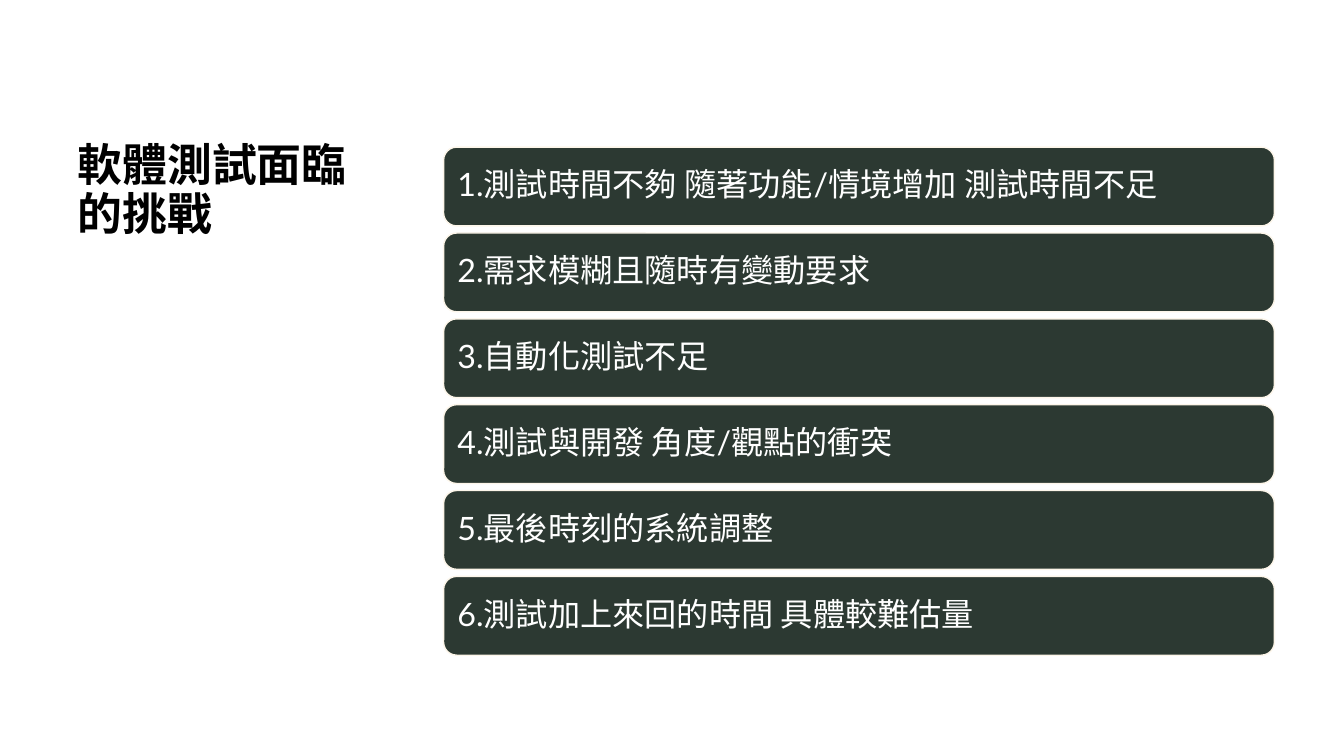
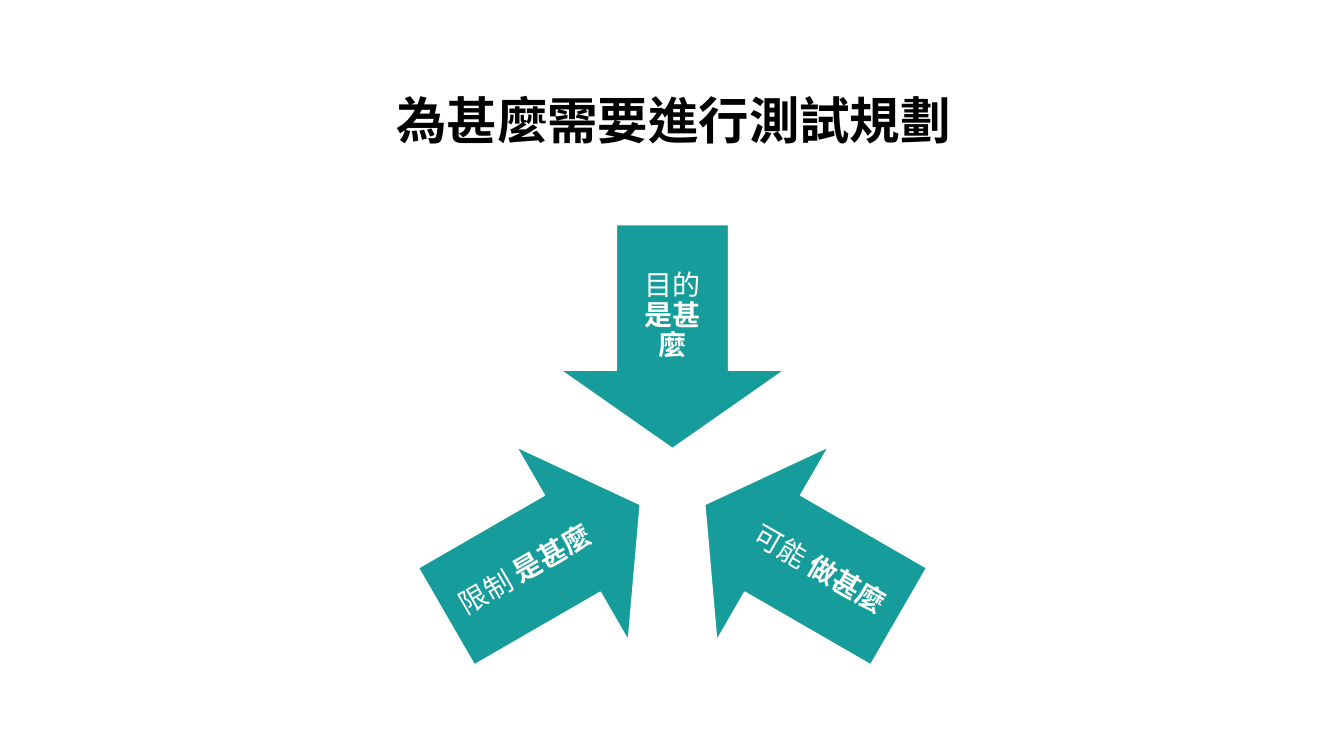
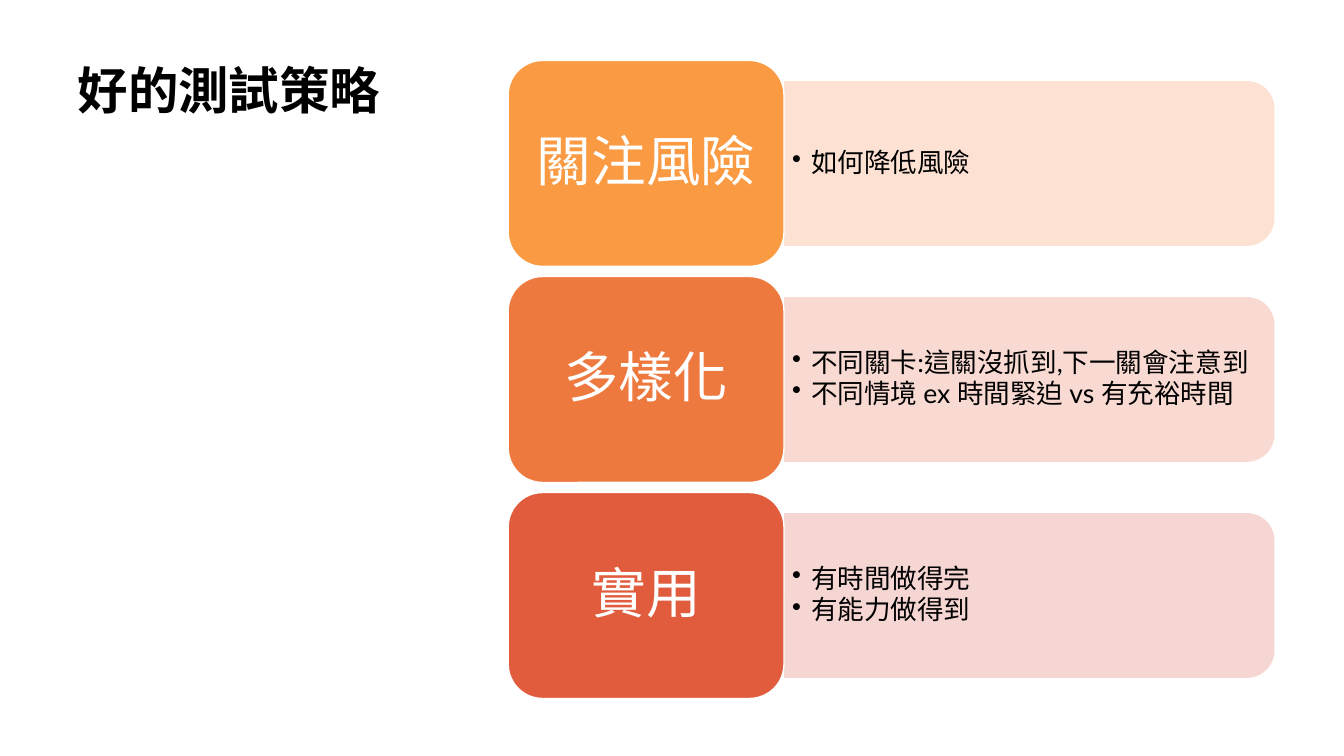
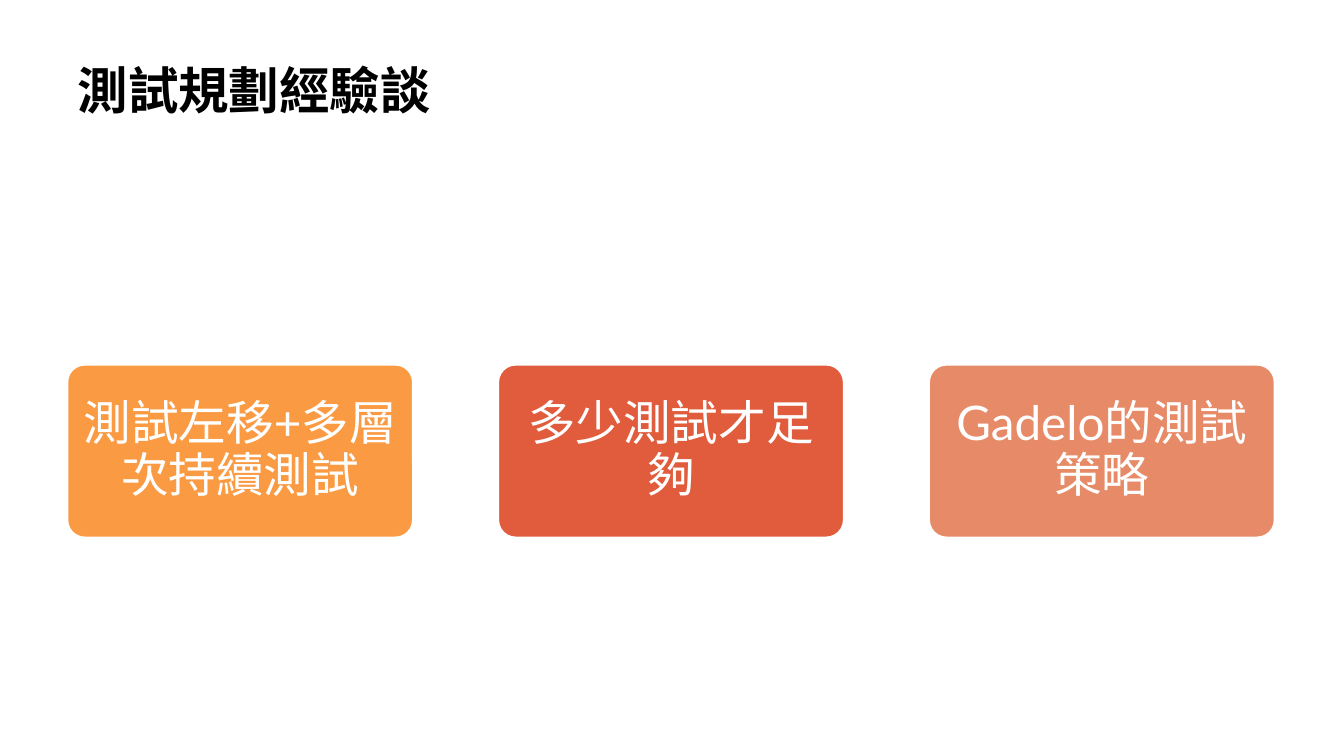
"""Build four slides on the challenges and planning of software testing."""
from math import cos, radians, sin

from lxml import etree
from pptx import Presentation
from pptx.dml.color import RGBColor
from pptx.enum.lang import MSO_LANGUAGE_ID
from pptx.enum.shapes import MSO_SHAPE
from pptx.enum.text import MSO_ANCHOR, MSO_AUTO_SIZE, PP_ALIGN
from pptx.oxml.ns import qn
from pptx.util import Inches, Pt

LEFT, CENTER = PP_ALIGN.LEFT, PP_ALIGN.CENTER
TOP, MIDDLE = MSO_ANCHOR.TOP, MSO_ANCHOR.MIDDLE
NO_AUTOFIT = MSO_AUTO_SIZE.NONE
ROUNDED = MSO_SHAPE.ROUNDED_RECTANGLE
TWO_ROUNDED = MSO_SHAPE.ROUND_2_SAME_RECTANGLE
DOWN_ARROW = MSO_SHAPE.DOWN_ARROW
TAIWAN = MSO_LANGUAGE_ID.TRADITIONAL_CHINESE
TITLE_ONLY = 5

FONT = "Lato"
COLORS = {
    "black": "000000",
    "white": "FFFFFF",
    "cream": "FDF6EA",
    "forest": "2C3932",
    "teal": "169C9A",
    "amber": "FA9A42",
    "orange": "EE793F",
    "red": "E15C3D",
    "salmon": "E78A67",
    "pale_amber": "FDDECF",
    "pale_orange": "F9D7CE",
    "pale_red": "F4D2CE",
}

CHALLENGES = [
    "1.測試時間不夠 隨著功能/情境增加 測試時間不足",
    "2.需求模糊且隨時有變動要求",
    "3.自動化測試不足",
    "4.測試與開發 角度/觀點的衝突",
    "5.最後時刻的系統調整",
    "6.測試加上來回的時間 具體較難估量",
]
QUESTIONS = [
    ("目的 ", "是甚麼", 0, 0),
    ("可能 ", "做甚麼", 120, 30),
    ("限制 ", "是甚麼", 240, 330),
]
STRATEGIES = [
    ("關注風險", "amber", "pale_amber", ["如何降低風險"]),
    ("多樣化", "orange", "pale_orange",
     ["不同關卡:這關沒抓到,下一關會注意到", "不同情境 ex 時間緊迫 vs 有充裕時間"]),
    ("實用", "red", "pale_red", ["有時間做得完", "有能力做得到"]),
]
EXPERIENCES = [
    ("測試左移+多層次持續測試", "amber"),
    ("多少測試才足夠", "red"),
    ("Gadelo的測試策略", "salmon"),
]


def rgb(name):
    """Return the named colour."""
    return RGBColor.from_string(COLORS[name])


def inches(*lengths):
    """Convert several lengths to inches."""
    return [Inches(length) for length in lengths]


def spread(start, length, count, gap):
    """Return the starts and the common size of equal parts with equal gaps."""
    size = (length - gap * (count - 1)) / count
    return [start + index * (size + gap) for index in range(count)], size


def style_run(run, size, color, bold=False):
    """Apply the shared font to a run."""
    run.font.name = FONT
    run.font.size = Pt(size)
    run.font.bold = bold
    run.font.color.rgb = rgb(color)
    run.font.language_id = TAIWAN


def add_bullet(paragraph):
    """Give a paragraph a round bullet with a hanging indent."""
    properties = paragraph._p.get_or_add_pPr()
    properties.set("marL", str(Inches(0.19)))
    properties.set("indent", str(Inches(-0.19)))
    etree.SubElement(properties, qn("a:buChar")).set("char", "•")


def write_text(text_frame, lines, size, color="white", align=CENTER, anchor=MIDDLE,
               margins=(0.1, 0.05), bold=False, bullets=False):
    """Fill a text frame with one paragraph for each line."""
    text_frame.text = "\n".join(lines)
    text_frame.word_wrap = True
    text_frame.auto_size = NO_AUTOFIT
    text_frame.vertical_anchor = anchor
    text_frame.margin_left = text_frame.margin_right = Inches(margins[0])
    text_frame.margin_top = text_frame.margin_bottom = Inches(margins[1])
    for paragraph in text_frame.paragraphs:
        if bullets:
            add_bullet(paragraph)
            paragraph.space_after = Pt(2)
        paragraph.alignment = align
        paragraph.line_spacing = 0.9
        for run in paragraph.runs:
            style_run(run, size, color, bold)


def add_block(slide, kind, box, fill, line="white"):
    """Add a flat filled shape with a thin outline."""
    shape = slide.shapes.add_shape(kind, *inches(*box))
    shape.shadow.inherit = False
    shape.fill.solid()
    shape.fill.fore_color.rgb = rgb(fill)
    shape.line.color.rgb = rgb(line)
    shape.line.width = Pt(1)
    return shape


def add_titled_slide(presentation, title, box, size=36, align=LEFT, anchor=TOP):
    """Add a title-only slide and format its title."""
    slide = presentation.slides.add_slide(presentation.slide_layouts[TITLE_ONLY])
    placeholder = slide.shapes.title
    placeholder.left, placeholder.top, placeholder.width, placeholder.height = inches(*box)
    write_text(placeholder.text_frame, [title], size, "black", align, anchor, bold=True)
    return slide


def add_challenge_bars(slide, box):
    """Stack the numbered challenges as bars in the box."""
    left, top, width, height = box
    tops, bar_height = spread(top, height, len(CHALLENGES), 0.07)
    for bar_top, challenge in zip(tops, CHALLENGES):
        bar = add_block(slide, ROUNDED, (left, bar_top, width, bar_height), "forest", "cream")
        write_text(bar.text_frame, [challenge], 23, align=LEFT, margins=(0.1, 0.1))


def add_question_arrows(slide, box):
    """Point three labelled arrows at the hub of the box."""
    left, top, width, arrow_size = box
    radius, label_radius = 1.48, 1.68
    hub_x, hub_y = left + width / 2, top + arrow_size / 2 + radius
    for topic, question, turn, label_turn in QUESTIONS:
        across, down = sin(radians(turn)), -cos(radians(turn))
        arrow = add_block(slide, DOWN_ARROW, (
            hub_x + radius * across - arrow_size / 2,
            hub_y + radius * down - arrow_size / 2,
            arrow_size, arrow_size), "teal")
        arrow.adjustments[0] = 0.5
        arrow.adjustments[1] = 0.35
        arrow.rotation = turn
        label_width, label_height = (1.83, 1.11) if turn else (1.11, 1.83)
        label = slide.shapes.add_textbox(*inches(
            hub_x + label_radius * across - label_width / 2,
            hub_y + label_radius * down - label_height / 2,
            label_width, label_height))
        label.rotation = label_turn
        write_text(label.text_frame, [topic], 20, margins=(0.16, 0.16))
        question_run = label.text_frame.paragraphs[0].add_run()
        question_run.text = question
        style_run(question_run, 20, "white", bold=True)


def add_detail_panel(slide, box, fill, details):
    """Add a translucent panel rounded on the right, with bulleted details."""
    left, top, width, height = box
    panel = add_block(slide, TWO_ROUNDED, (
        left + (width - height) / 2, top + (height - width) / 2, height, width), fill)
    panel.rotation = 90
    panel.line.fill.background()
    color = panel._element.spPr.find(qn("a:solidFill"))[0]
    etree.SubElement(color, qn("a:alpha")).set("val", "90000")
    label = slide.shapes.add_textbox(*inches(left, top + 0.08, width - 0.08, height - 0.16))
    write_text(label.text_frame, details, 19, "black", LEFT, margins=(0.08, 0.04), bullets=True)


def add_strategy_rows(slide, box):
    """Stack the strategies as a heading block and a detail panel each."""
    left, top, width, height = box
    heading_width = width * 0.36
    tops, row_height = spread(top, height, len(STRATEGIES), 0.1)
    for row_top, (heading, fill, pale_fill, details) in zip(tops, STRATEGIES):
        add_detail_panel(slide, (
            left + heading_width, row_top + row_height * 0.1,
            width - heading_width, row_height * 0.8), pale_fill, details)
        block = add_block(slide, ROUNDED, (left, row_top, heading_width, row_height), fill)
        write_text(block.text_frame, [heading], 39, margins=(0.16, 0.08))


def add_experience_cards(slide, box):
    """Set the experiences side by side as cards in the box."""
    left, top, width, height = box
    lefts, card_width = spread(left, width, len(EXPERIENCES), 0.85)
    for card_left, (experience, fill) in zip(lefts, EXPERIENCES):
        card = add_block(slide, ROUNDED, (card_left, top, card_width, height), fill)
        card.adjustments[0] = 0.1
        write_text(card.text_frame, [experience], 34, margins=(0.07, 0.05))


def main():
    """Build and save the presentation."""
    presentation = Presentation()
    presentation.slide_width, presentation.slide_height = inches(13.33, 7.5)

    slide = add_titled_slide(presentation, "軟體測試面臨的挑戰", (0.67, 1.37, 3.18, 5.22), size=32)
    add_challenge_bars(slide, (4.4, 1.46, 8.24, 5.04))

    slide = add_titled_slide(presentation, "為甚麼需要進行測試規劃", (1.67, 0.6, 10.02, 1.24),
                             align=CENTER, anchor=MIDDLE)
    add_question_arrows(slide, (4.27, 2.23, 4.8, 2.22))

    slide = add_titled_slide(presentation, "好的測試策略", (0.67, 0.6, 3.82, 6.33))
    add_strategy_rows(slide, (5.04, 0.6, 7.6, 6.33))

    slide = add_titled_slide(presentation, "測試規劃經驗談", (0.67, 0.6, 11.97, 1.24))
    add_experience_cards(slide, (0.67, 3.62, 11.97, 1.71))

    presentation.save("out.pptx")


if __name__ == "__main__":
    main()
